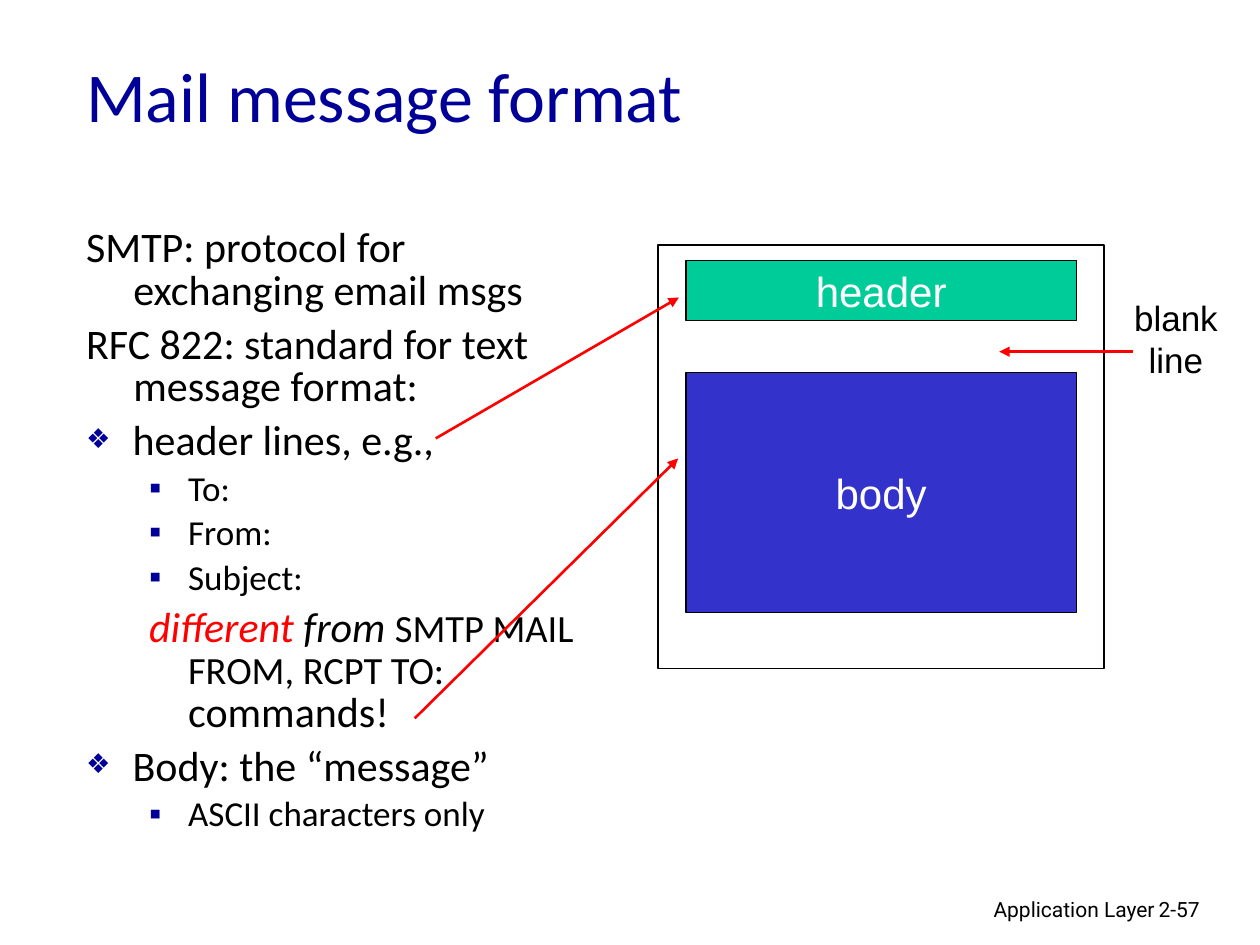
"""Build the slide on the mail message format."""
from lxml.etree import SubElement
from pptx import Presentation
from pptx.dml.color import RGBColor
from pptx.enum.shapes import MSO_CONNECTOR, MSO_SHAPE
from pptx.enum.text import MSO_ANCHOR, MSO_AUTO_SIZE, PP_ALIGN
from pptx.oxml.ns import qn
from pptx.util import Pt

NAVY = RGBColor(0x00, 0x00, 0x99)
BLACK = RGBColor(0x00, 0x00, 0x00)
WHITE = RGBColor(0xFF, 0xFF, 0xFF)
RED = RGBColor(0xFF, 0x00, 0x00)
GREEN = RGBColor(0x00, 0xCC, 0x99)
BLUE = RGBColor(0x33, 0x33, 0xCC)

TITLE = "Mail message format"
STYLES = {
    "plain": dict(level=0, left=27, hang=27, before=6, bullet=None, scale=100),
    "point": dict(level=0, left=26.6, hang=26.6, before=6, bullet="❖", scale=65),
    "sub": dict(level=1, left=58.3, hang=22.3, before=5, bullet="▪", scale=100),
    "note": dict(level=1, left=58.3, hang=22.3, before=6, bullet=None, scale=100),
}
BODY = [
    ("plain", [("SMTP: protocol for exchanging email msgs", 24, BLACK, False)]),
    ("plain", [("RFC 822: standard for text message format:", 24, BLACK, False)]),
    ("point", [("header lines, e.g.,", 24, BLACK, False)]),
    ("sub", [("To:", 20, BLACK, False)]),
    ("sub", [("From:", 20, BLACK, False)]),
    ("sub", [("Subject:", 20, BLACK, False)]),
    ("note", [("different ", 24, RED, True), ("from ", 24, BLACK, True),
              ("SMTP MAIL FROM, RCPT TO:", 22, BLACK, False),
              (" commands!", 24, BLACK, False)]),
    ("point", [("Body: the “message”", 24, BLACK, False)]),
    ("sub", [("ASCII characters only", 20, BLACK, False)]),
]
FRAME = (376, 140, 255, 242)
PART_INSET, PART_WIDTH = 16, 223
PARTS = [("header", 149, 34, GREEN), ("body", 213, 137, BLUE)]
ARROWS = [
    ((249, 250.5), (388, 170)),
    ((237, 410.5), (387.5, 262)),
    ((647.5, 201), (571, 201)),
]
LABELS = [
    (["Application Layer"], (439, 509, 228, 22), 12, "Roboto", PP_ALIGN.RIGHT, True),
    (["2-57"], (655, 509, 53, 22), 12, "Roboto", PP_ALIGN.LEFT, True),
    (["blank", "line"], (639, 166, 66, 55), 20, "Arial", PP_ALIGN.CENTER, False),
]


def place(sp, box):
    sp.left, sp.top, sp.width, sp.height = (Pt(v) for v in box)


def add_run(p, text, size, font, color, italic=False):
    r = p.add_run()
    r.text = text
    r.font.size = Pt(size)
    r.font.name = font
    r.font.italic = italic
    r.font.color.rgb = color


def set_bullet(p, left, hang, bullet, scale):
    pPr = p._p.get_or_add_pPr()
    pPr.set("marL", str(Pt(left)))
    pPr.set("indent", str(-Pt(hang)))
    if bullet is None:
        SubElement(pPr, qn("a:buNone"))
        return
    clr = SubElement(pPr, qn("a:buClr"))
    SubElement(clr, qn("a:srgbClr"), val=str(NAVY))
    SubElement(pPr, qn("a:buSzPct"), val=str(scale * 1000))
    SubElement(pPr, qn("a:buChar"), char=bullet)


def add_title(s):
    sp = s.shapes.title
    place(sp, (42, 9, 612, 90))
    tf = sp.text_frame
    tf.auto_size = MSO_AUTO_SIZE.NONE
    tf.vertical_anchor = MSO_ANCHOR.MIDDLE
    p = tf.paragraphs[0]
    p.alignment = PP_ALIGN.LEFT
    add_run(p, TITLE, 40, "Calibri", NAVY)


def add_body(s):
    sp = s.placeholders[1]
    place(sp, (42, 127, 300, 366))
    tf = sp.text_frame
    tf.auto_size = MSO_AUTO_SIZE.NONE
    for i, (name, runs) in enumerate(BODY):
        style = STYLES[name]
        p = tf.add_paragraph() if i else tf.paragraphs[0]
        set_bullet(p, style["left"], style["hang"], style["bullet"], style["scale"])
        p.level = style["level"]
        p.line_spacing = 0.85
        p.space_before = Pt(style["before"] if i else 0)
        for text, size, color, italic in runs:
            add_run(p, text, size, "Calibri", color, italic)


def add_box(s, box, line_width, fill=None):
    sp = s.shapes.add_shape(MSO_SHAPE.RECTANGLE, *(Pt(v) for v in box))
    sp.shadow.inherit = False
    sp.line.color.rgb = BLACK
    sp.line.width = Pt(line_width)
    if fill is None:
        sp.fill.background()
    else:
        sp.fill.solid()
        sp.fill.fore_color.rgb = fill
    return sp


def add_message(s):
    for text, top, height, fill in PARTS:
        box = (FRAME[0] + PART_INSET, top, PART_WIDTH, height)
        tf = add_box(s, box, 0.75, fill).text_frame
        tf.word_wrap = False
        tf.vertical_anchor = MSO_ANCHOR.MIDDLE
        p = tf.paragraphs[0]
        p.alignment = PP_ALIGN.CENTER
        add_run(p, text, 24, "Arial", WHITE)
    add_box(s, FRAME, 1)


def add_label(s, lines, box, size, font, align, wrap):
    tf = s.shapes.add_textbox(*(Pt(v) for v in box)).text_frame
    tf.word_wrap = wrap
    for i, text in enumerate(lines):
        p = tf.add_paragraph() if i else tf.paragraphs[0]
        p.alignment = align
        add_run(p, text, size, font, BLACK)


def add_arrow(s, start, end):
    sp = s.shapes.add_connector(MSO_CONNECTOR.STRAIGHT, *(Pt(v) for v in start + end))
    sp.line.color.rgb = RED
    sp.line.width = Pt(1.5)
    spPr = sp._element.spPr
    SubElement(spPr.get_or_add_ln(), qn("a:tailEnd"), type="triangle")
    SubElement(spPr, qn("a:effectLst"))


def main():
    prs = Presentation()
    prs.slide_width, prs.slide_height = Pt(720), Pt(540)
    s = prs.slides.add_slide(prs.slide_layouts[1])
    add_title(s)
    add_body(s)
    add_message(s)
    for label in LABELS:
        add_label(s, *label)
    for start, end in ARROWS:
        add_arrow(s, start, end)
    prs.save("out.pptx")


if __name__ == "__main__":
    main()
